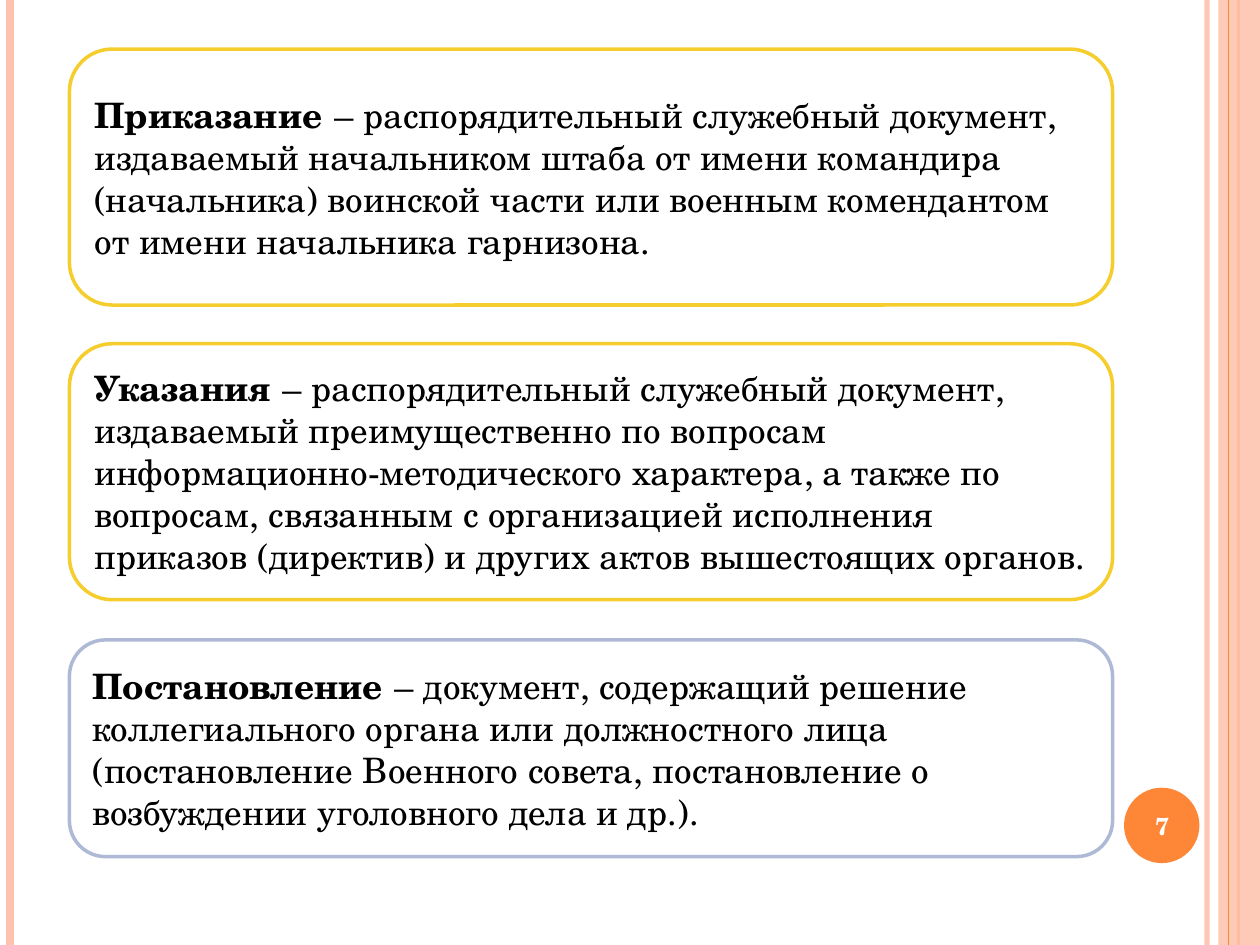
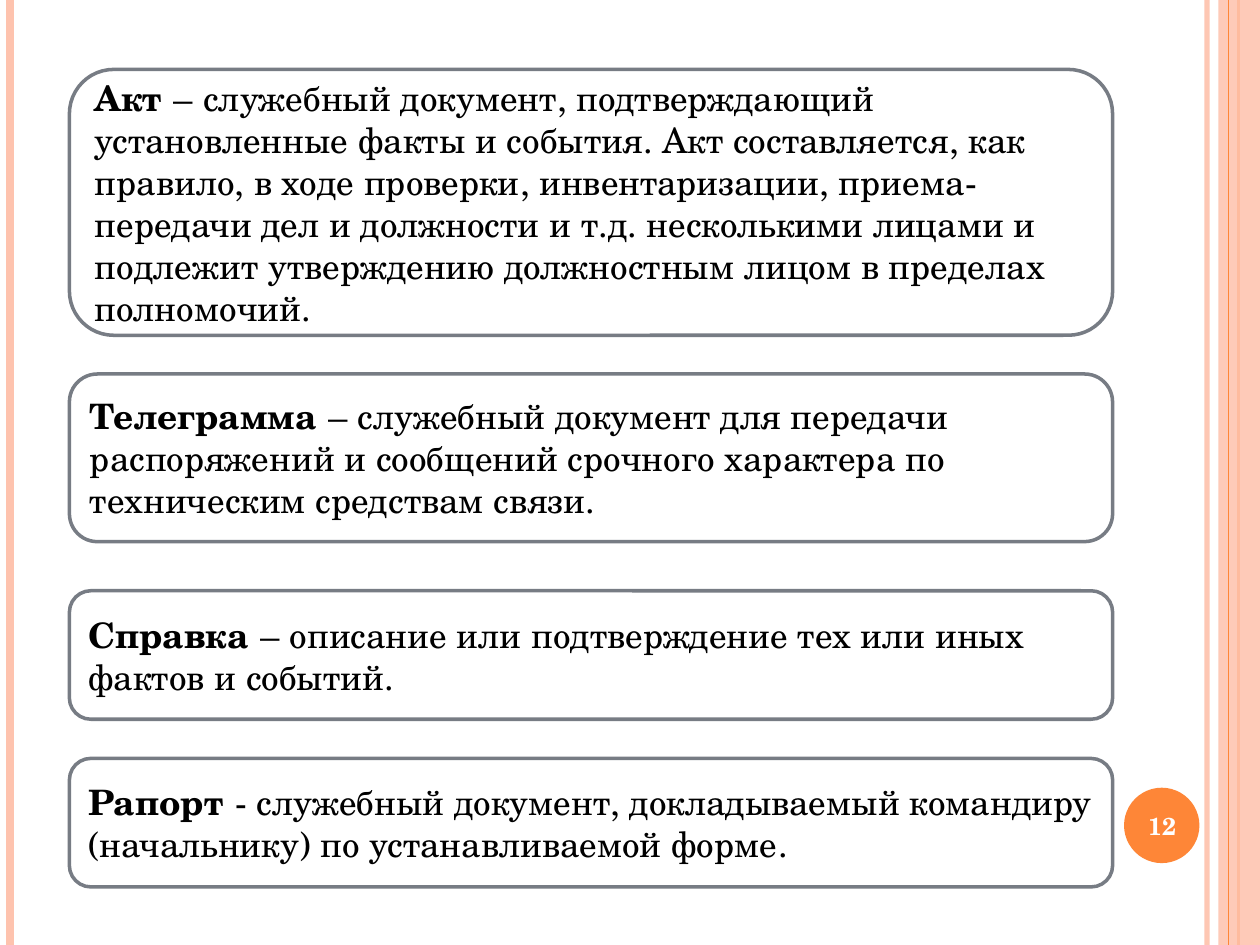
from lxml import etree
from pptx import Presentation
from pptx import util as u
from pptx.dml import color
from pptx.enum import shapes, text
from pptx.oxml import ns

FONT = "TeX Gyre Schola"
WIDTH, HEIGHT = 25.4, 19.05
CARD_LEFT, CARD_WIDTH = 1.4, 21.03
WHITE, BLACK = "FFFFFF", "000000"
ORANGE, PEACH = "FE8637", "FEC3AE"
YELLOW, BLUE, GRAY = "F5CD2D", "AEBAD5", "777C84"

STRIPES_BELOW = [(24.33, PEACH, 3, 93), (0.2, PEACH, 4.5, 100), (24.97, ORANGE, 1.5, 100)]
STRIPE_ABOVE = (24.77, ORANGE, 0.75, 100)

ORDERS = [
    (0.99, 5.16, YELLOW, "Приказание",
     "\u00a0– распорядительный служебный документ, издаваемый начальником штаба "
     "от имени командира (начальника) воинской части или военным комендантом "
     "от имени начальника гарнизона."),
    (6.93, 5.16, YELLOW, "Указания",
     "\u00a0– распорядительный служебный документ, издаваемый преимущественно "
     "по вопросам информационно-методического характера, а также по вопросам, "
     "связанным с организацией исполнения приказов (директив) и других актов "
     "вышестоящих органов."),
    (12.9, 4.37, BLUE, "Постановление",
     "\u00a0– документ, содержащий решение коллегиального органа или должностного "
     "лица (постановление Военного совета, постановление о возбуждении "
     "уголовного дела и др.)."),
]
REPORTS = [
    (1.4, 5.36, GRAY, "Акт",
     "\u00a0– служебный документ, подтверждающий установленные факты и события. "
     "Акт составляется, как правило, в ходе проверки, инвентаризации, "
     "приема-передачи дел и должности и т.д. несколькими лицами и подлежит "
     "утверждению должностным лицом в пределах полномочий."),
    (7.54, 3.38, GRAY, "Телеграмма",
     "\u00a0– служебный документ для передачи распоряжений и сообщений срочного "
     "характера по техническим средствам связи."),
    (11.91, 2.59, GRAY, "Справка",
     "\u00a0– описание или подтверждение тех или иных фактов и событий."),
    (15.29, 2.59, GRAY, "Рапорт",
     "\u00a0- служебный документ, докладываемый командиру (начальнику) "
     "по устанавливаемой форме."),
]


def paint(target, hex_color):
    target.rgb = color.RGBColor.from_string(hex_color)


def set_opacity(element, percent):
    for node in element.spPr.iter(ns.qn("a:srgbClr")):
        etree.SubElement(node, ns.qn("a:alpha"), val=str(percent * 1000))


def add_stripe(slide, x, hex_color, points, opacity):
    stripe = slide.shapes.add_connector(
        shapes.MSO_CONNECTOR.STRAIGHT, u.Cm(x), 0, u.Cm(x), u.Cm(HEIGHT))
    paint(stripe.line.color, hex_color)
    stripe.line.width = u.Pt(points)
    etree.SubElement(stripe._element.spPr, ns.qn("a:effectLst"))
    if opacity < 100:
        set_opacity(stripe._element, opacity)


def add_filled(slide, kind, left, top, width, height, hex_color):
    shape = slide.shapes.add_shape(kind, u.Cm(left), u.Cm(top), u.Cm(width), u.Cm(height))
    shape.shadow.inherit = False
    shape.fill.solid()
    paint(shape.fill.fore_color, hex_color)
    shape.line.fill.background()
    return shape


def add_run(paragraph, words, size, hex_color, bold):
    run = paragraph.add_run()
    run.text = words
    run.font.name = FONT
    run.font.size = u.Pt(size)
    run.font.bold = bold
    paint(run.font.color, hex_color)


def start_text(shape, alignment):
    frame = shape.text_frame
    frame.word_wrap = True
    frame.vertical_anchor = text.MSO_ANCHOR.MIDDLE
    paragraph = frame.paragraphs[0]
    paragraph.alignment = alignment
    return paragraph


def add_frame(slide, number):
    for stripe in STRIPES_BELOW:
        add_stripe(slide, *stripe)
    band = add_filled(slide, shapes.MSO_SHAPE.RECTANGLE, 24.56, 0, 0.84, HEIGHT, PEACH)
    set_opacity(band._element, 87)
    add_stripe(slide, *STRIPE_ABOVE)
    add_filled(slide, shapes.MSO_SHAPE.OVAL, 22.66, 15.88, 1.52, 1.52, ORANGE)
    label = slide.shapes.add_textbox(u.Cm(22.58), u.Cm(15.93), u.Cm(1.7), u.Cm(1.45))
    paragraph = start_text(label, text.PP_ALIGN.CENTER)
    add_run(paragraph, str(number), 14, WHITE, True)


def add_card(slide, top, height, outline, term, definition):
    card = add_filled(slide, shapes.MSO_SHAPE.ROUNDED_RECTANGLE,
                      CARD_LEFT, top, CARD_WIDTH, height, WHITE)
    paint(card.line.color, outline)
    card.line.width = u.Pt(2)
    paragraph = start_text(card, text.PP_ALIGN.LEFT)
    add_run(paragraph, term, 20, BLACK, True)
    add_run(paragraph, definition, 20, BLACK, False)


def add_definitions(presentation, number, cards):
    slide = presentation.slides.add_slide(presentation.slide_layouts[6])
    slide.background.fill.solid()
    paint(slide.background.fill.fore_color, WHITE)
    add_frame(slide, number)
    for card in cards:
        add_card(slide, *card)


def main():
    presentation = Presentation()
    presentation.slide_width = u.Cm(WIDTH)
    presentation.slide_height = u.Cm(HEIGHT)
    add_definitions(presentation, 7, ORDERS)
    add_definitions(presentation, 12, REPORTS)
    presentation.save("out.pptx")


main()
